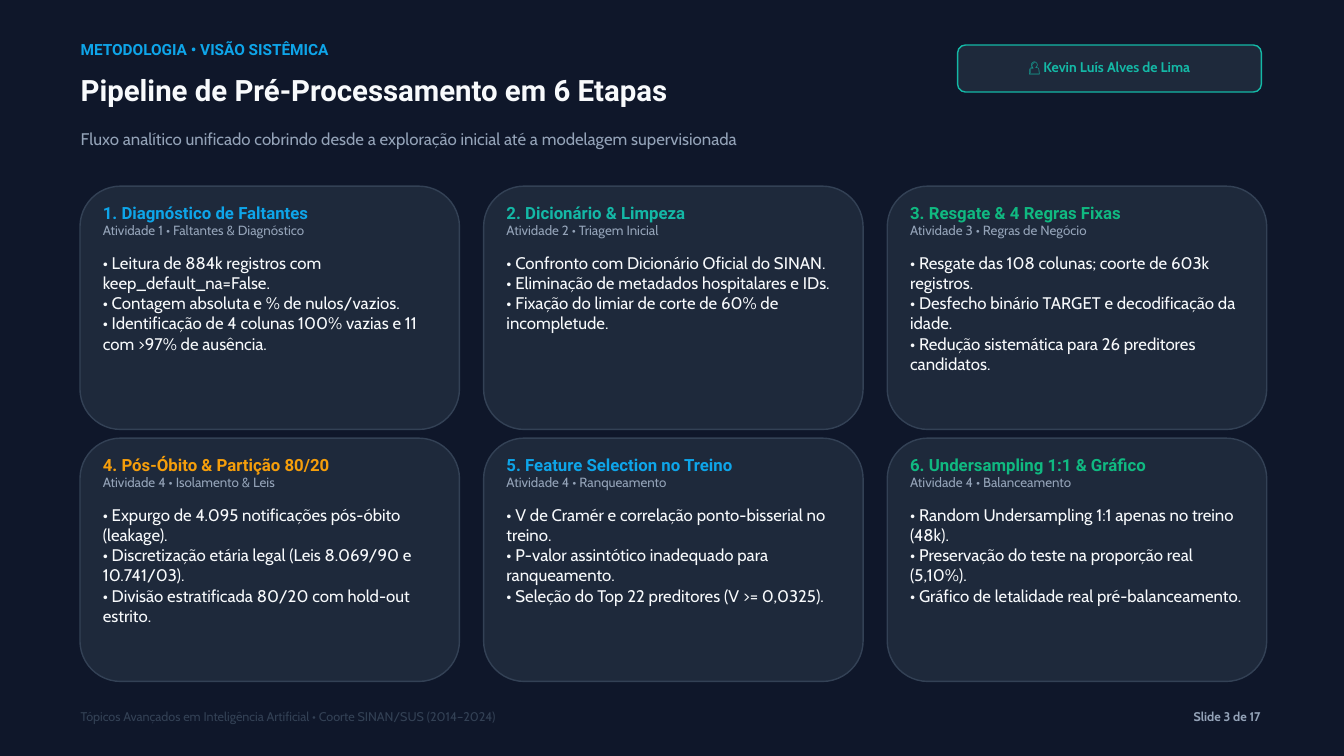
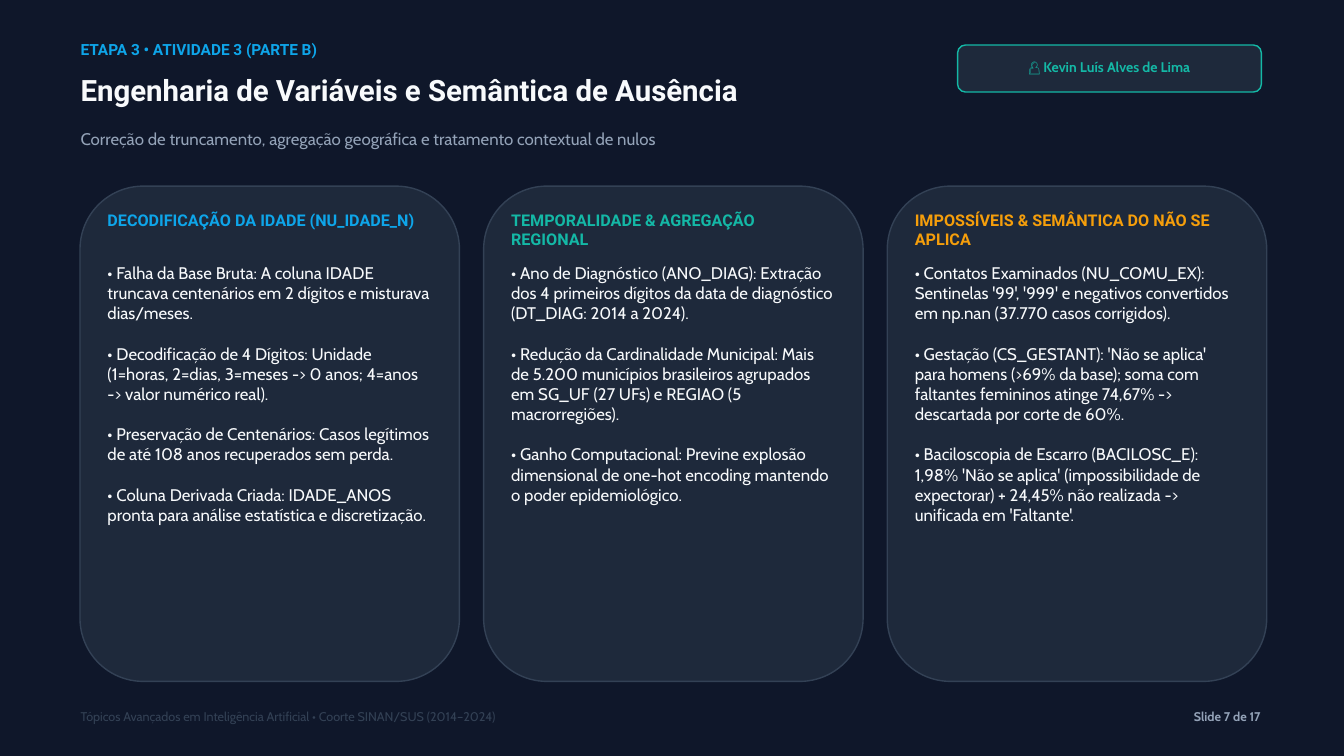
from dataclasses import dataclass

from pptx import Presentation
from pptx import util as u
from pptx.dml.color import RGBColor
from pptx.enum import shapes, text


@dataclass(frozen=True)
class Theme:
    background: str = "0F172A"
    panel: str = "1E293B"
    edge: str = "334155"
    white: str = "F8FAFC"
    muted: str = "94A3B8"
    blue: str = "0EA5E9"
    teal: str = "14B8A6"
    green: str = "10B981"
    amber: str = "F59E0B"
    heading_font: str = "Roboto"
    body_font: str = "Cabin"
    title_size: float = 31.5
    body_size: float = 18
    section_size: float = 17.25
    kicker_size: float = 16.5
    badge_size: float = 15
    caption_size: float = 14.25
    footer_size: float = 13.5
    leading: float = 1.2


THEME = Theme()
AUTHOR = "👤 Kevin Luís Alves de Lima"
FOOTER = "Tópicos Avançados em Inteligência Artificial • Coorte SINAN/SUS (2014–2024)"
SLIDE_TOTAL = 17

MARGIN = 1.2
HEADER_WIDTH = 12.76
GRID_LEFT, GRID_TOP = 1.19, 2.77
GRID_WIDTH, GRID_HEIGHT = 17.66, 7.37
COLUMN_GAP, ROW_GAP = 0.36, 0.13
COLUMNS = 3

STAGES = [
    ("1. Diagnóstico de Faltantes", "Atividade 1 • Faltantes & Diagnóstico", THEME.blue, [
        "• Leitura de 884k registros com keep_default_na=False.",
        "• Contagem absoluta e % de nulos/vazios.",
        "• Identificação de 4 colunas 100% vazias e 11 com >97% de ausência.",
    ]),
    ("2. Dicionário & Limpeza", "Atividade 2 • Triagem Inicial", THEME.teal, [
        "• Confronto com Dicionário Oficial do SINAN.",
        "• Eliminação de metadados hospitalares e IDs.",
        "• Fixação do limiar de corte de 60% de incompletude.",
    ]),
    ("3. Resgate & 4 Regras Fixas", "Atividade 3 • Regras de Negócio", THEME.green, [
        "• Resgate das 108 colunas; coorte de 603k registros.",
        "• Desfecho binário TARGET e decodificação da idade.",
        "• Redução sistemática para 26 preditores candidatos.",
    ]),
    ("4. Pós-Óbito & Partição 80/20", "Atividade 4 • Isolamento & Leis", THEME.amber, [
        "• Expurgo de 4.095 notificações pós-óbito (leakage).",
        "• Discretização etária legal (Leis 8.069/90 e 10.741/03).",
        "• Divisão estratificada 80/20 com hold-out estrito.",
    ]),
    ("5. Feature Selection no Treino", "Atividade 4 • Ranqueamento", THEME.blue, [
        "• V de Cramér e correlação ponto-bisserial no treino.",
        "• P-valor assintótico inadequado para ranqueamento.",
        "• Seleção do Top 22 preditores (V >= 0,0325).",
    ]),
    ("6. Undersampling 1:1 & Gráfico", "Atividade 4 • Balanceamento", THEME.green, [
        "• Random Undersampling 1:1 apenas no treino (48k).",
        "• Preservação do teste na proporção real (5,10%).",
        "• Gráfico de letalidade real pré-balanceamento.",
    ]),
]

TREATMENTS = [
    ("DECODIFICAÇÃO DA IDADE (NU_IDADE_N)", THEME.blue, [
        "• Falha da Base Bruta: A coluna IDADE truncava centenários em 2 dígitos "
        "e misturava dias/meses.",
        "• Decodificação de 4 Dígitos: Unidade (1=horas, 2=dias, 3=meses -> 0 anos; "
        "4=anos -> valor numérico real).",
        "• Preservação de Centenários: Casos legítimos de até 108 anos recuperados sem perda.",
        "• Coluna Derivada Criada: IDADE_ANOS pronta para análise estatística e discretização.",
    ]),
    ("TEMPORALIDADE & AGREGAÇÃO REGIONAL", THEME.teal, [
        "• Ano de Diagnóstico (ANO_DIAG): Extração dos 4 primeiros dígitos da data "
        "de diagnóstico (DT_DIAG: 2014 a 2024).",
        "• Redução da Cardinalidade Municipal: Mais de 5.200 municípios brasileiros "
        "agrupados em SG_UF (27 UFs) e REGIAO (5 macrorregiões).",
        "• Ganho Computacional: Previne explosão dimensional de one-hot encoding "
        "mantendo o poder epidemiológico.",
    ]),
    ("IMPOSSÍVEIS & SEMÂNTICA DO NÃO SE APLICA", THEME.amber, [
        "• Contatos Examinados (NU_COMU_EX): Sentinelas '99', '999' e negativos "
        "convertidos em np.nan (37.770 casos corrigidos).",
        "• Gestação (CS_GESTANT): 'Não se aplica' para homens (>69% da base); soma com "
        "faltantes femininos atinge 74,67% -> descartada por corte de 60%.",
        "• Baciloscopia de Escarro (BACILOSC_E): 1,98% 'Não se aplica' (impossibilidade "
        "de expectorar) + 24,45% não realizada -> unificada em 'Faltante'.",
    ]),
]


@dataclass(frozen=True)
class Style:
    size: float
    color: str
    font: str = THEME.body_font
    bold: bool = False


KICKER = Style(THEME.kicker_size, THEME.blue, THEME.heading_font, True)
TITLE = Style(THEME.title_size, THEME.white, THEME.heading_font, True)
SUBTITLE = Style(THEME.body_size, THEME.muted)
BADGE = Style(THEME.badge_size, THEME.teal, bold=True)
BODY = Style(THEME.body_size, THEME.white)
CAPTION = Style(THEME.caption_size, THEME.muted)
FOOTNOTE = Style(THEME.footer_size, THEME.edge)
PAGE_NUMBER = Style(THEME.footer_size, THEME.muted, bold=True)


class Deck:
    def __init__(self, theme):
        self.theme = theme
        self.presentation = Presentation()
        self.presentation.slide_width = u.Inches(20)
        self.presentation.slide_height = u.Inches(11.25)
        background = self.presentation.slide_master.background.fill
        background.solid()
        background.fore_color.rgb = RGBColor.from_string(theme.background)
        self.slide = None

    def fill_text(self, shape, lines, align=text.PP_ALIGN.LEFT, anchor=text.MSO_ANCHOR.TOP,
                  gap=0, bottom=0):
        frame = shape.text_frame
        frame.word_wrap = True
        frame.auto_size = text.MSO_AUTO_SIZE.NONE
        frame.vertical_anchor = anchor
        frame.margin_left = frame.margin_right = frame.margin_top = 0
        frame.margin_bottom = u.Inches(bottom)
        for index, (content, style) in enumerate(lines):
            paragraph = frame.add_paragraph() if index else frame.paragraphs[0]
            paragraph.alignment = align
            paragraph.line_spacing = u.Pt(style.size * self.theme.leading)
            paragraph.space_before = u.Pt(gap if index else 0)
            run = paragraph.add_run()
            run.text = content
            run.font.name = style.font
            run.font.size = u.Pt(style.size)
            run.font.bold = style.bold
            run.font.color.rgb = RGBColor.from_string(style.color)

    def text_box(self, left, top, width, height, lines, **options):
        shape = self.slide.shapes.add_textbox(
            u.Inches(left), u.Inches(top), u.Inches(width), u.Inches(height))
        self.fill_text(shape, lines, **options)

    def panel(self, left, top, width, height, edge):
        shape = self.slide.shapes.add_shape(
            shapes.MSO_SHAPE.ROUNDED_RECTANGLE,
            u.Inches(left), u.Inches(top), u.Inches(width), u.Inches(height))
        shape.shadow.inherit = False
        shape.fill.solid()
        shape.fill.fore_color.rgb = RGBColor.from_string(self.theme.panel)
        shape.line.color.rgb = RGBColor.from_string(edge)
        shape.line.width = u.Pt(1.5)
        return shape

    def title(self, content):
        shape = self.slide.shapes.title
        shape.left, shape.top = u.Inches(MARGIN), u.Inches(1.08)
        shape.width, shape.height = u.Inches(HEADER_WIDTH), u.Inches(0.83)
        self.fill_text(shape, [(content, TITLE)])

    def badge(self):
        shape = self.panel(14.25, 0.67, 4.52, 0.7, self.theme.teal)
        self.fill_text(shape, [(AUTHOR, BADGE)], align=text.PP_ALIGN.CENTER,
                       anchor=text.MSO_ANCHOR.MIDDLE, bottom=0.05)

    def footer(self, number):
        self.text_box(MARGIN, 10.55, 12, 0.48, [(FOOTER, FOOTNOTE)])
        self.text_box(15.76, 10.55, 3, 0.25,
                      [(f"Slide {number} de {SLIDE_TOTAL}", PAGE_NUMBER)],
                      align=text.PP_ALIGN.RIGHT)

    def start_slide(self, number, kicker, title, subtitle):
        self.slide = self.presentation.slides.add_slide(self.presentation.slide_layouts[5])
        self.title(title)
        self.text_box(MARGIN, 0.6, HEADER_WIDTH, 0.48, [(kicker, KICKER)])
        self.text_box(MARGIN, 1.91, HEADER_WIDTH, 0.61, [(subtitle, SUBTITLE)])
        self.badge()
        self.footer(number)

    def card(self, index, rows, heading, bullets, inset, heading_top, body_top, gap=0):
        width = (GRID_WIDTH - (COLUMNS - 1) * COLUMN_GAP) / COLUMNS
        height = (GRID_HEIGHT - (rows - 1) * ROW_GAP) / rows
        row, column = divmod(index, COLUMNS)
        left = GRID_LEFT + column * (width + COLUMN_GAP)
        top = GRID_TOP + row * (height + ROW_GAP)
        self.panel(left, top, width, height, self.theme.edge)
        inner_left, inner_width = left + inset, width - 2 * inset
        self.text_box(inner_left, top + heading_top, inner_width,
                      body_top - heading_top, heading)
        self.text_box(inner_left, top + body_top, inner_width, height - body_top - inset,
                      [(bullet, BODY) for bullet in bullets], gap=gap)


def build_pipeline(deck):
    deck.start_slide(3, "METODOLOGIA • VISÃO SISTÊMICA",
                     "Pipeline de Pré-Processamento em 6 Etapas",
                     "Fluxo analítico unificado cobrindo desde a exploração inicial "
                     "até a modelagem supervisionada")
    for index, (name, activity, color, bullets) in enumerate(STAGES):
        heading = [(name, Style(THEME.body_size, color, THEME.heading_font, True)),
                   (activity, CAPTION)]
        deck.card(index, 2, heading, bullets, inset=0.34, heading_top=0.24, body_top=0.99)


def build_treatments(deck):
    deck.start_slide(7, "ETAPA 3 • ATIVIDADE 3 (PARTE B)",
                     "Engenharia de Variáveis e Semântica de Ausência",
                     "Correção de truncamento, agregação geográfica "
                     "e tratamento contextual de nulos")
    for index, (name, color, bullets) in enumerate(TREATMENTS):
        heading = [(name, Style(THEME.section_size, color, THEME.heading_font, True))]
        deck.card(index, 1, heading, bullets, inset=0.41, heading_top=0.36, body_top=1.14,
                  gap=THEME.body_size * THEME.leading)


def main():
    deck = Deck(THEME)
    build_pipeline(deck)
    build_treatments(deck)
    deck.presentation.save("out.pptx")


if __name__ == "__main__":
    main()
